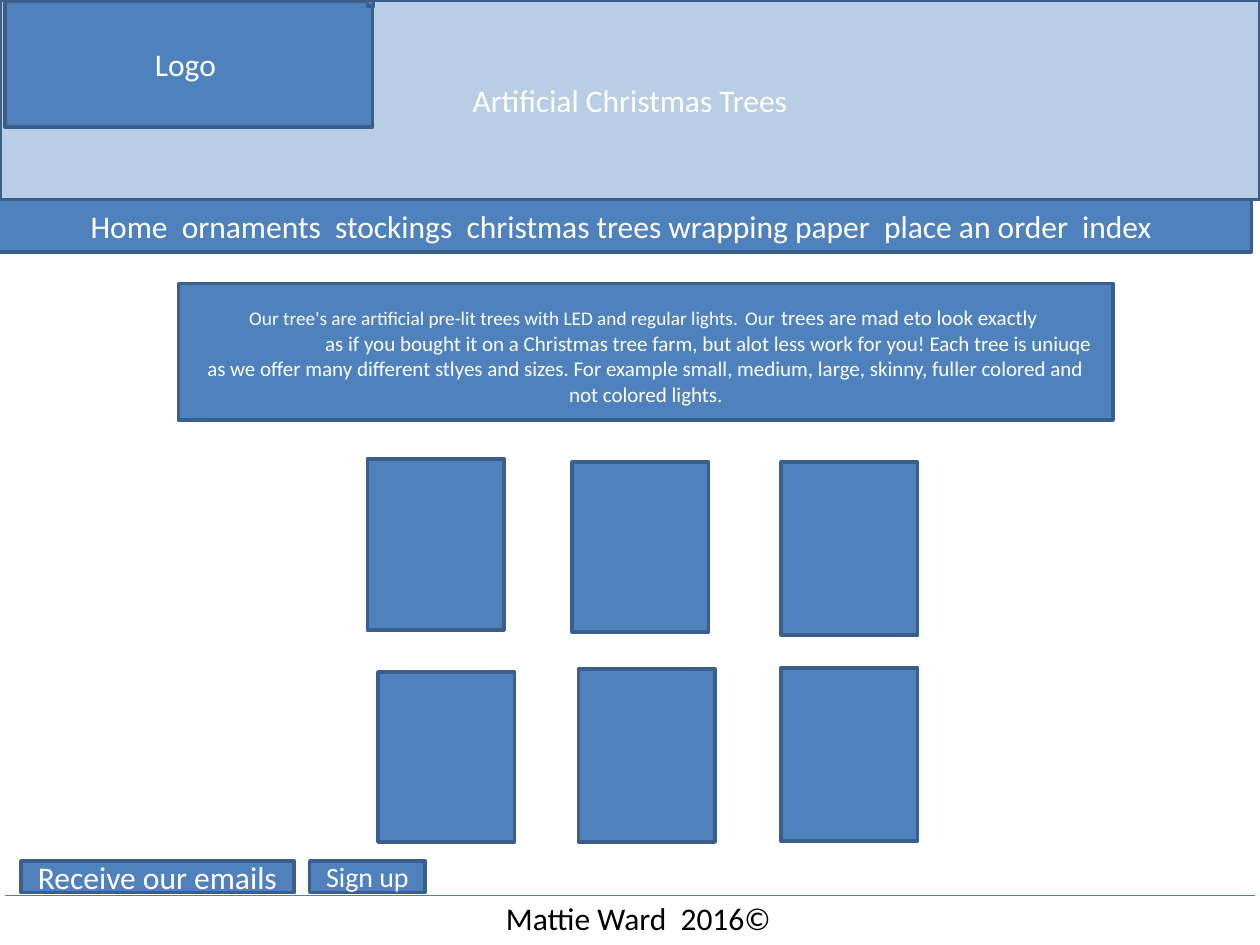
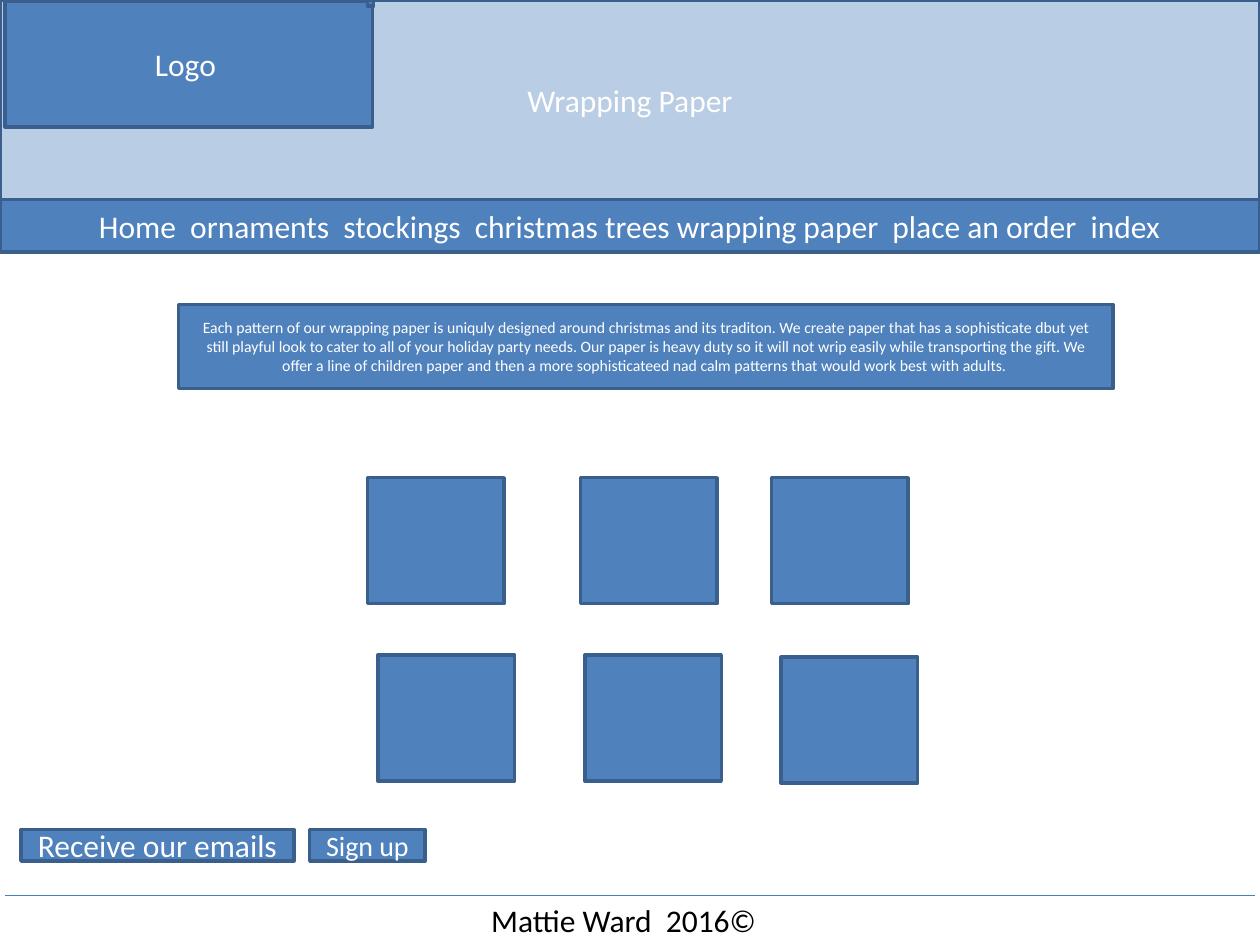
import pptx
import pptx.dml.color
import pptx.enum.shapes
import pptx.enum.text
import pptx.oxml.ns
import pptx.util
import lxml.etree

COLUMNS, ROWS = 120, 90
BLUE, PALE, EDGE, RULE = "4F81BD", "B9CDE5", "3A5F8C", "4B7EBC"
WHITE, BLACK = "FFFFFF", "000000"
MENU = "Home  ornaments  stockings  christmas trees wrapping paper  place an order  index"
CREDIT = "Mattie Ward  2016©"


def color(code):
    """Turn a hex string into a colour."""
    return pptx.dml.color.RGBColor.from_string(code)


def words(text, size=18, ink=WHITE, font="Calibri"):
    """Pair a text with its format."""
    return text, size, ink, font


class Site:
    """Hold the style, the deck and the current page."""

    def __init__(self):
        """Open an empty deck of 10 by 7.5 inches."""
        self.deck = pptx.Presentation()
        self.deck.slide_width = pptx.util.Inches(10)
        self.deck.slide_height = pptx.util.Inches(7.5)

    def across(self, columns):
        """Measure columns of the grid."""
        return round(self.deck.slide_width * columns / COLUMNS)

    def down(self, rows):
        """Measure rows of the grid."""
        return round(self.deck.slide_height * rows / ROWS)

    def place(self, column, row, width, height):
        """Measure a cell block of the grid."""
        return self.across(column), self.down(row), self.across(width), self.down(height)

    def fill_para(self, para, spans):
        """Fill a paragraph with formatted spans."""
        for text, size, ink, font in spans:
            span = para.add_run()
            span.text = text
            span.font.size = pptx.util.Pt(size)
            span.font.name = font
            span.font.color.rgb = color(ink)

    def box(self, area, *paras, fill=BLUE, indent=0):
        """Draw a bordered box with centred text, indenting its last paragraph."""
        box = self.page.shapes.add_shape(
            pptx.enum.shapes.MSO_SHAPE.RECTANGLE, *self.place(*area))
        box.shadow.inherit = False
        box.fill.solid()
        box.fill.fore_color.rgb = color(fill)
        box.line.color.rgb = color(EDGE)
        box.line.width = pptx.util.Pt(2)
        frame = box.text_frame
        frame.word_wrap = True
        frame.vertical_anchor = pptx.enum.text.MSO_ANCHOR.MIDDLE
        for number, spans in enumerate(paras):
            para = frame.add_paragraph() if number else frame.paragraphs[0]
            para.alignment = pptx.enum.text.PP_ALIGN.CENTER
            self.fill_para(para, spans)
        if indent:
            para._p.get_or_add_pPr().set("indent", str(self.across(indent)))

    def rule(self, row, margin=0.5):
        """Draw a thin line across the page."""
        line = self.page.shapes.add_connector(
            pptx.enum.shapes.MSO_CONNECTOR.STRAIGHT,
            self.across(margin), self.down(row),
            self.across(COLUMNS - margin), self.down(row))
        line.line.color.rgb = color(RULE)
        line.line.width = pptx.util.Pt(0.75)
        lxml.etree.SubElement(line._element.spPr, pptx.oxml.ns.qn("a:effectLst"))

    def label(self, area, text):
        """Place a single line of plain text."""
        box = self.page.shapes.add_textbox(*self.place(*area))
        box.text_frame.word_wrap = False
        box.text_frame.auto_size = pptx.enum.text.MSO_AUTO_SIZE.SHAPE_TO_FIT_TEXT
        self.fill_para(box.text_frame.paragraphs[0], [words(text, ink=BLACK)])

    def header(self, title, menu_column):
        """Draw the title band, the logo box and the menu."""
        self.box((0, 0, COLUMNS, 19), [words(title)], fill=PALE)
        self.box((0.5, 0.1, 35, 12), [words("Logo ")])
        self.box((35, 0, 0.6, 0.6))
        self.box((menu_column, 19, COLUMNS, 5), [words(MENU)])

    def footer(self, button_row, credit_column, credit_row):
        """Draw the sign-up buttons, the rule and the credit."""
        self.box((2, button_row, 26, 3), [words("Receive our emails")])
        self.box((29.5, button_row, 11, 3), [words("Sign up", size=16)])
        self.rule(85.3)
        self.label((credit_column, credit_row, 28, 4.8), CREDIT)

    def add_page(self, title, intro, intro_row, intro_height, photos,
                 menu_column=0, indent=0, **footer):
        """Build one product page."""
        self.page = self.deck.slides.add_slide(self.deck.slide_layouts[6])
        self.header(title, menu_column)
        for column, row, height in photos:
            self.box((column, row, 13, height))
        self.box((17, intro_row, 89, intro_height), *intro, indent=indent)
        self.footer(**footer)


site = Site()
site.add_page(
    "Artificial Christmas Trees",
    [
        [words("Our tree's are artificial pre-lit trees with LED and regular lights.", size=11),
         words(" ", size=16), words("Our", size=11), words(" ", size=16),
         words("trees are mad eto look exactly ", size=12)],
        [words("as if you bought it on a Christmas tree farm, but alot less work for you! "
               "Each tree is uniuqe as we offer many different stlyes and sizes. For example "
               "small, medium, large, skinny, fuller colored and not colored lights", size=12),
         words(".", size=11)],
    ],
    intro_row=27, intro_height=13,
    photos=[(35, 43.7, 16.3), (54.5, 44, 16.2), (74.4, 44, 16.5),
            (36, 64, 16.2), (55.1, 63.7, 16.5), (74.4, 63.6, 16.5)],
    menu_column=-0.8, indent=12,
    button_row=82, credit_column=47, credit_row=85)
site.add_page(
    "Wrapping Paper",
    [
        [words("Each pattern of our wrapping paper is uniquly designed around christmas and its "
               "traditon. We create paper that has a sophisticate dbut yet still playful look to "
               "cater to all of your holiday party needs. Our paper is heavy duty so it will not "
               "wrip easily while transporting the gift. We", size=9)],
        [words("offer a line of children paper and then a more sophisticateed nad calm patterns "
               "that would work best with adults. ", size=9)],
    ],
    intro_row=29, intro_height=8,
    photos=[(35, 45.5, 12), (55.3, 45.5, 12), (73.5, 45.5, 12),
            (36, 62.4, 12), (55.7, 62.4, 12), (74.4, 62.6, 12)],
    button_row=79, credit_column=45.6, credit_row=85.2)
site.deck.save("out.pptx")
